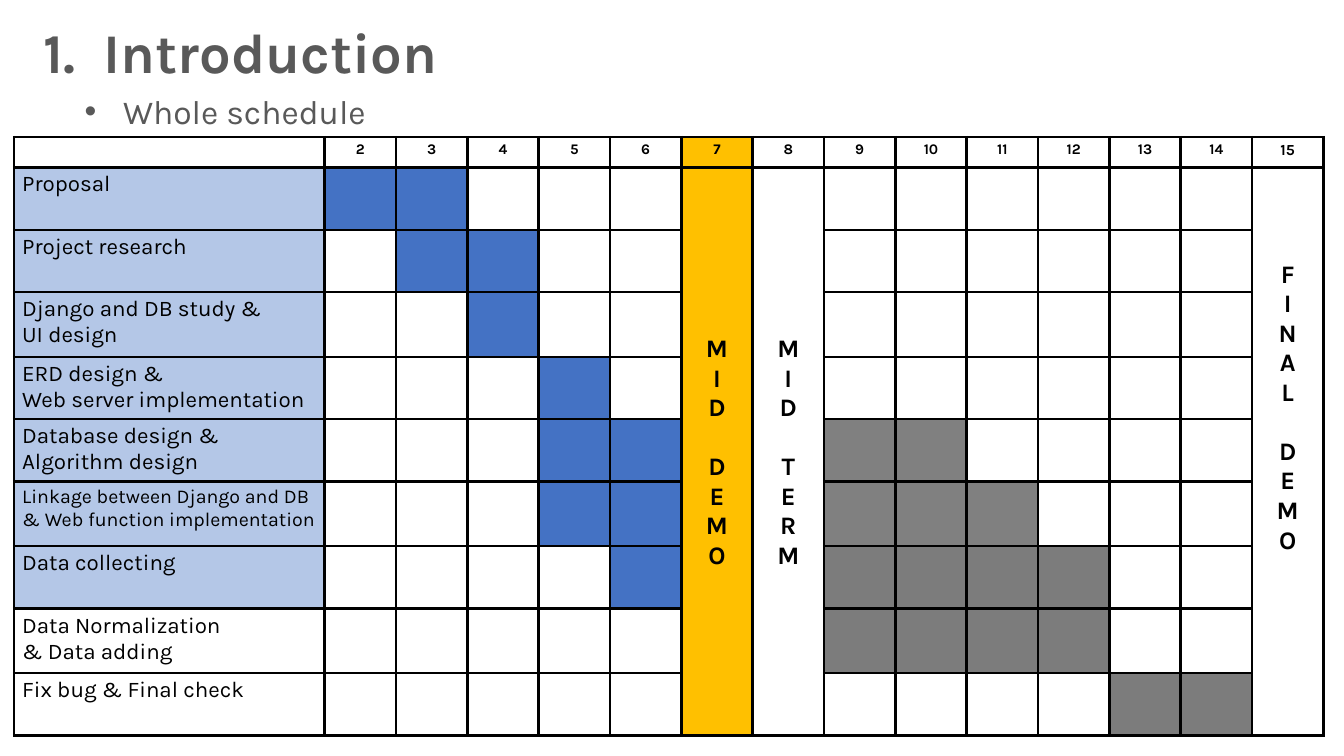
from lxml.etree import SubElement
from pptx import Presentation
from pptx.dml.color import RGBColor
from pptx.enum.text import MSO_ANCHOR, MSO_AUTO_SIZE, PP_ALIGN
from pptx.oxml.ns import qn
from pptx.util import Inches, Pt

FONT = "Karla"
BLACK = RGBColor(0x00, 0x00, 0x00)
WHITE = RGBColor(0xFF, 0xFF, 0xFF)
TEXT_GRAY = RGBColor(0x59, 0x59, 0x59)
PALE_BLUE = RGBColor(0xB4, 0xC7, 0xE7)
BLUE = RGBColor(0x44, 0x72, 0xC4)
GOLD = RGBColor(0xFF, 0xC0, 0x00)
GRAY = RGBColor(0x80, 0x80, 0x80)
DARK_GRAY = RGBColor(0x7C, 0x7C, 0x7C)

TITLE = "1.  Introduction"
SUBTITLE = "Whole schedule"
WEEKS = range(2, 16)
TASKS = [
    (["Proposal"], 16, PALE_BLUE, {BLUE: [2, 3]}),
    (["Project research"], 16, PALE_BLUE, {BLUE: [3, 4]}),
    (["Django and DB study &", "UI design"], 16, PALE_BLUE, {BLUE: [4]}),
    (["ERD design &", "Web server implementation"], 16, PALE_BLUE, {BLUE: [5]}),
    (["Database design & Algorithm design"], 16, PALE_BLUE,
     {BLUE: [5, 6], GRAY: [9, 10]}),
    (["Linkage between Django and DB & Web function implementation"], 14, PALE_BLUE,
     {BLUE: [5, 6], GRAY: [9, 10, 11]}),
    (["Data collecting"], 16, PALE_BLUE, {BLUE: [6], DARK_GRAY: [9, 10, 11, 12]}),
    (["Data Normalization", "& Data adding"], 16, WHITE,
     {DARK_GRAY: [9, 10, 11, 12]}),
    (["Fix bug & Final check"], 16, WHITE, {DARK_GRAY: [13, 14]}),
]
MILESTONES = {
    7: ("MID DEMO", GOLD, MSO_ANCHOR.MIDDLE, 0.06),
    8: ("MID TERM", WHITE, MSO_ANCHOR.MIDDLE, 0.06),
    15: ("FINAL DEMO", WHITE, MSO_ANCHOR.TOP, 0.92),
}
TABLE_BOX = (0.14, 1.36, 12.99, 5.95)
LABEL_WIDTH = 3.08
ROW_HEIGHTS = [0.3, 0.62, 0.62, 0.64, 0.62, 0.62, 0.64, 0.62, 0.64, 0.62]
THIN, THICK = 1.98, 2.55
THICK_AFTER_WEEKS = (4, 10)
LINE_PITCH = 21


def set_attrs(obj, **values):
    for name, value in values.items():
        setattr(obj, name, value)


def add_run(p, text, size, color=BLACK, bold=False):
    r = p.add_run()
    r.text = text
    set_attrs(r.font, name=FONT, size=Pt(size), bold=bold)
    r.font.color.rgb = color


def fill_placeholder(sp, box, text, size, bold=False):
    set_attrs(sp, **dict(zip(("left", "top", "width", "height"), map(Inches, box))))
    tf = sp.text_frame
    set_attrs(tf, word_wrap=True, auto_size=MSO_AUTO_SIZE.NONE,
              vertical_anchor=MSO_ANCHOR.TOP)
    p = tf.paragraphs[0]
    set_attrs(p, alignment=PP_ALIGN.LEFT, space_before=Pt(0))
    add_run(p, text, size, TEXT_GRAY, bold)
    return p


def style_cell(cell, color, week):
    set_attrs(cell, margin_left=Inches(0.08), margin_right=Inches(0.08),
              margin_top=Inches(0.04), margin_bottom=Inches(0.04))
    thick = {"R": week in THICK_AFTER_WEEKS, "L": week - 1 in THICK_AFTER_WEEKS}
    for side in "LRTB":
        width = THICK if thick.get(side) else THIN
        ln = SubElement(cell._tc.get_or_add_tcPr(), qn(f"a:ln{side}"), w=str(Pt(width)))
        solid = SubElement(ln, qn("a:solidFill"))
        SubElement(solid, qn("a:srgbClr"), val=str(BLACK))
    cell.fill.solid()
    cell.fill.fore_color.rgb = color


def write_lines(cell, lines, size, bold=False, align=PP_ALIGN.LEFT):
    tf = cell.text_frame
    for i, line in enumerate(lines):
        p = tf.add_paragraph() if i else tf.paragraphs[0]
        p.alignment = align
        add_run(p, line, size, bold=bold)


def write_milestone(cell, label, anchor, top):
    words = label.split()
    write_lines(cell, "".join(words), 18, True, PP_ALIGN.CENTER)
    cell.text_frame.paragraphs[len(words[0])].space_before = Pt(LINE_PITCH)
    set_attrs(cell, vertical_anchor=anchor, margin_top=Inches(top))


def add_schedule(s):
    n_rows, n_cols = len(TASKS) + 1, len(WEEKS) + 1
    frame = s.shapes.add_table(n_rows, n_cols, *map(Inches, TABLE_BOX))
    table = frame.table
    set_attrs(table, first_row=False, horz_banding=False)
    week_width = (TABLE_BOX[2] - LABEL_WIDTH) / len(WEEKS)
    for i, col in enumerate(table.columns):
        col.width = Inches(week_width if i else LABEL_WIDTH)
    for row, height in zip(table.rows, ROW_HEIGHTS):
        row.height = Inches(height)

    colors = {(r, week): color
              for r, (_, _, _, bars) in enumerate(TASKS, 1)
              for color, weeks in bars.items() for week in weeks}
    for r in range(n_rows):
        for c in range(n_cols):
            week = c + WEEKS[0] - 1
            color = colors.get((r, week), WHITE)
            if c == 0 and r:
                color = TASKS[r - 1][2]
            elif week in MILESTONES:
                color = MILESTONES[week][1]
            style_cell(table.cell(r, c), color, week)

    for c, week in enumerate(WEEKS, 1):
        size = 11 if week == WEEKS[-1] else 10.5
        write_lines(table.cell(0, c), [str(week)], size, True, PP_ALIGN.CENTER)
    for r, (lines, size, _, _) in enumerate(TASKS, 1):
        write_lines(table.cell(r, 0), lines, size)
    for week, (label, _, anchor, top) in MILESTONES.items():
        c = week - WEEKS[0] + 1
        cell = table.cell(1, c)
        cell.merge(table.cell(n_rows - 1, c))
        write_milestone(cell, label, anchor, top)
    for cell in table.iter_cells():
        if not cell.text:
            p = cell.text_frame.paragraphs[0]
            SubElement(p._p, qn("a:endParaRPr"), sz="1050")


def main():
    prs = Presentation()
    set_attrs(prs, slide_width=Inches(13.33), slide_height=Inches(7.5))
    s = prs.slides.add_slide(prs.slide_layouts[1])
    fill_placeholder(s.shapes.title, (0.33, 0.12, 6.12, 0.77), TITLE, 40, True)
    p = fill_placeholder(s.placeholders[1], (0.74, 0.85, 12.59, 0.5), SUBTITLE, 24)
    pPr = p._p.get_or_add_pPr()
    pPr.set("marL", str(Inches(0.38)))
    pPr.set("indent", str(Inches(-0.38)))
    add_schedule(s)
    prs.save("out.pptx")


if __name__ == "__main__":
    main()
